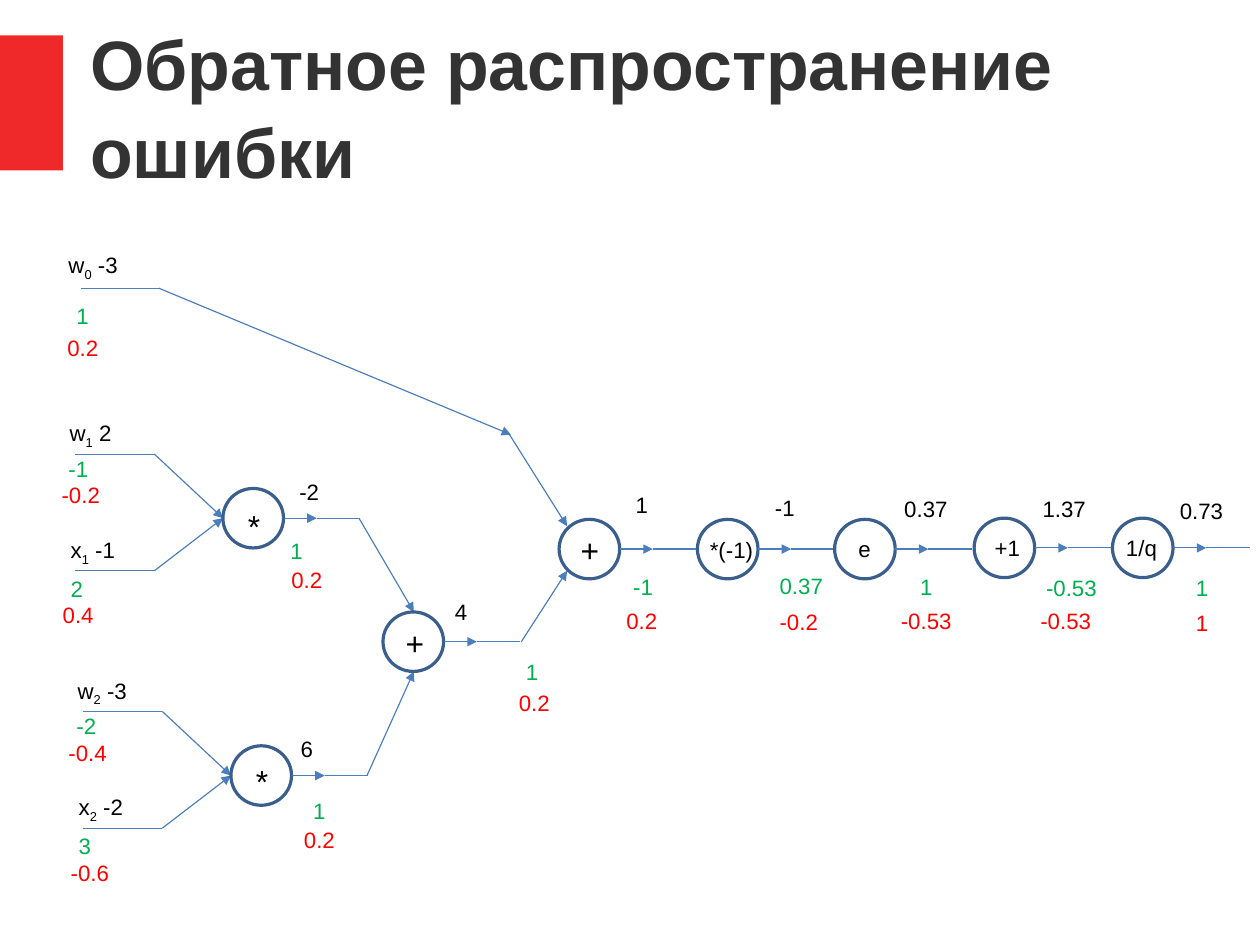
from pptx import Presentation
from pptx.dml.color import RGBColor
from pptx.enum.shapes import MSO_CONNECTOR, MSO_SHAPE
from pptx.enum.text import MSO_ANCHOR, MSO_AUTO_SIZE
from pptx.oxml.ns import qn
from pptx.util import Pt
from lxml import etree

PX = 9144  # 100 px to the inch
STRAIGHT = MSO_CONNECTOR.STRAIGHT
RECT, OVAL = MSO_SHAPE.RECTANGLE, MSO_SHAPE.OVAL
MIDDLE = MSO_ANCHOR.MIDDLE
GROW = MSO_AUTO_SIZE.SHAPE_TO_FIT_TEXT

ACCENT = RGBColor(0xEF, 0x29, 0x29)
TITLE = RGBColor(0x33, 0x33, 0x33)
EDGE = RGBColor(0x4B, 0x7E, 0xBC)
RING = RGBColor(0x3A, 0x5F, 0x8C)
BLACK = RGBColor(0, 0, 0)
GREEN = RGBColor(0, 0xB0, 0x50)
RED = RGBColor(0xFF, 0, 0)

# Character widths in em; every other character is a digit's width
EM = {"-": 0.33, ".": 0.28, " ": 0.28, "/": 0.28, "(": 0.33, ")": 0.33,
      "*": 0.39, "+": 0.58, "w": 0.72, "x": 0.5}
NODE_W, NODE_H = 53, 52
STUB, OUTPUT = 29, 67

prs = Presentation()
prs.slide_width, prs.slide_height = 1102 * PX, 827 * PX
s = prs.slides.add_slide(prs.slide_layouts[6])


def add_edge(x1, y1, x2, y2, arrow=False):
    c = s.shapes.add_connector(STRAIGHT, x1 * PX, y1 * PX, x2 * PX, y2 * PX)
    c.line.color.rgb = EDGE
    c.line.width = Pt(0.75)
    if arrow:
        etree.SubElement(c.line._get_or_add_ln(), qn("a:tailEnd"), type="triangle")
    etree.SubElement(c._element.spPr, qn("a:effectLst"))


def add_label(x, y, text, color=BLACK, size=14):
    """Text label; the character after "_" is a subscript."""
    name, mark, rest = text.partition("_")
    pieces = [name, rest[:1], rest[1:]] if mark else [text]
    em = sum(EM.get(ch, 0.56) for piece in pieces for ch in piece)
    width = round(20 + em * size / 0.72)
    height = 34 if size == 14 else 44
    tf = s.shapes.add_textbox(x * PX, y * PX, width * PX, height * PX).text_frame
    tf.word_wrap = False
    tf.auto_size = GROW
    for i, piece in enumerate(pieces):
        r = tf.paragraphs[0].add_run()
        r.text = piece
        r.font.name = "Arial"
        r.font.size = Pt(size)
        r.font.color.rgb = color
        if i == 1:
            r.font._element.set("baseline", "-25000")


# Title with its accent bar
sp = s.shapes.add_shape(RECT, 0, 31 * PX, 55 * PX, 118 * PX)
sp.shadow.inherit = False
sp.fill.solid()
sp.fill.fore_color.rgb = ACCENT
sp.line.fill.background()

tf = s.shapes.add_textbox(79 * PX, 31 * PX, 968 * PX, 120 * PX).text_frame
tf.word_wrap = True
tf.vertical_anchor = MIDDLE
tf.margin_left = tf.margin_top = tf.margin_right = tf.margin_bottom = 0
p = tf.paragraphs[0]
p.text = "Обратное распространение ошибки"
p.line_spacing = 1.06
font = p.runs[0].font
font.name, font.size, font.bold = "Arial", Pt(44), True
font.color.rgb = TITLE

# Inputs of the two multiplication nodes
for dx, dy in [(0, 0), (7, 225)]:
    for y in (397, 499):
        add_edge(66 + dx, y + dy, 135 + dx, y + dy)
        add_edge(135 + dx, y + dy, 195 + dx, 453 + dy, True)

# Bias input and the slanted edges into the sums
add_edge(71, 252, 139, 252)
for edge in [
    (139, 252, 447, 380), (445, 379, 496, 460), (456, 561, 496, 499),
    (314, 453, 362, 535), (321, 678, 362, 587),
]:
    add_edge(*edge, True)

# Nodes, each with its output edge: x, y, operation, its place and size
for x, y, operation, tx, ty, size in [
    (195, 427, "*", 207, 438, 20), (202, 652, "*", 214, 661, 20),
    (335, 535, "+", 345, 540, 20), (489, 454, "+", 498, 459, 20),
    (610, 454, "*(-1)", 611, 464, 14), (730, 454, "e", 741, 463, 14),
    (852, 453, "+1", 860, 462, 14), (973, 453, "1/q", 975, 462, 14),
]:
    sp = s.shapes.add_shape(OVAL, x * PX, y * PX, NODE_W * PX, NODE_H * PX)
    sp.shadow.inherit = False
    sp.fill.background()
    sp.line.color.rgb = RING
    sp.line.width = Pt(2)
    right, middle = x + NODE_W, y + NODE_H // 2
    add_edge(right, middle, right + STUB, middle, True)
    add_edge(right + STUB, middle, right + OUTPUT, middle)
    add_label(tx, ty, operation, size=size)

# Forward values (black), local gradients (green), passed gradients (red)
labels = {
    BLACK: [
        (50, 215, "w_0 -3"), (51, 362, "w_1 2"), (52, 464, "x_1 -1"),
        (58, 587, "w_2 -3"), (59, 689, "x_2 -2"),
        (252, 413, "-2"), (253, 638, "6"), (388, 518, "4"),
        (546, 425, "1"), (668, 427, "-1"), (781, 428, "0.37"),
        (902, 428, "1.37"), (1022, 430, "0.73"),
    ],
    GREEN: [
        (57, 259, "1"), (50, 393, "-1"), (52, 498, "2"),
        (57, 618, "-2"), (59, 723, "3"),
        (244, 465, "1"), (264, 692, "1"), (450, 571, "1"),
        (544, 496, "-1"), (672, 495, "0.37"), (795, 496, "1"),
        (905, 497, "-0.53"), (1036, 497, "1"),
    ],
    RED: [
        (49, 287, "0.2"), (44, 416, "-0.2"), (45, 521, "0.4"),
        (50, 641, "-0.4"), (52, 746, "-0.6"),
        (245, 490, "0.2"), (256, 717, "0.2"), (444, 598, "0.2"),
        (538, 526, "0.2"), (672, 527, "-0.2"), (778, 526, "-0.53"),
        (900, 526, "-0.53"), (1036, 528, "1"),
    ],
}
for color, items in labels.items():
    for x, y, text in items:
        add_label(x, y, text, color)

prs.save("out.pptx")
